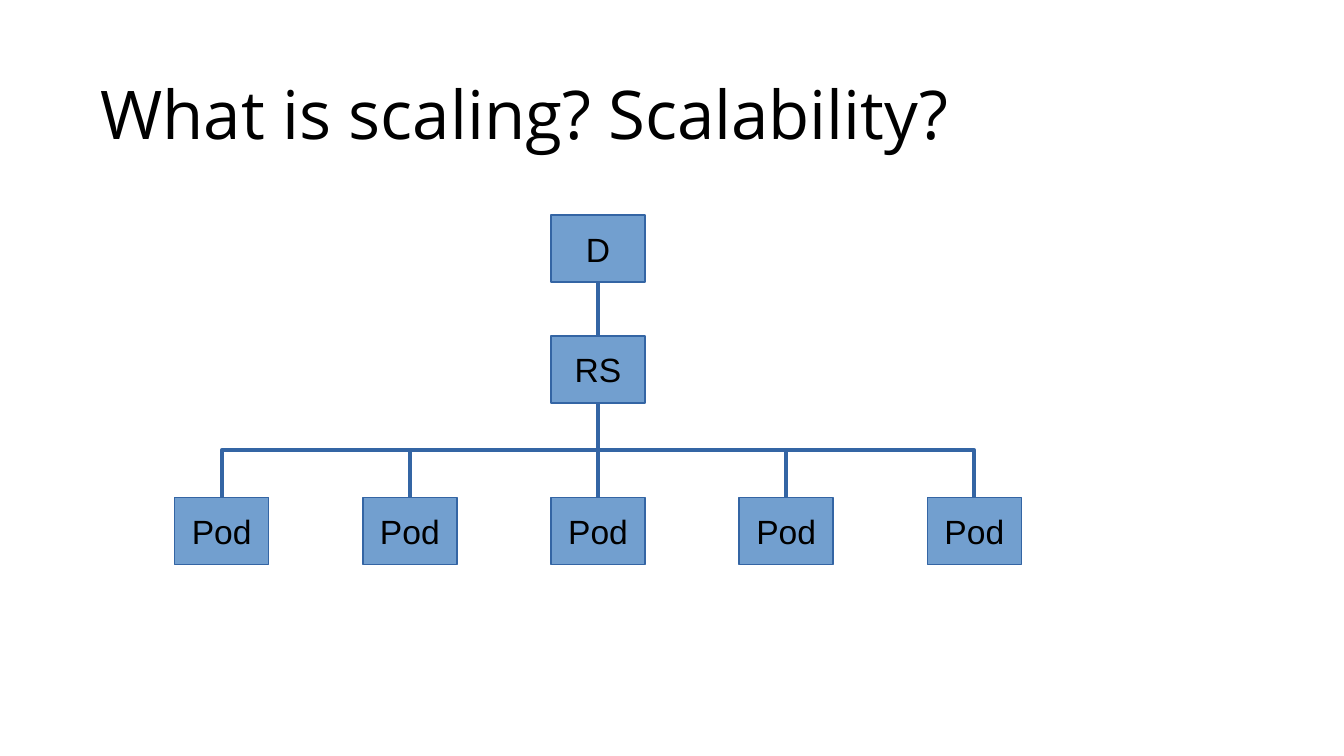
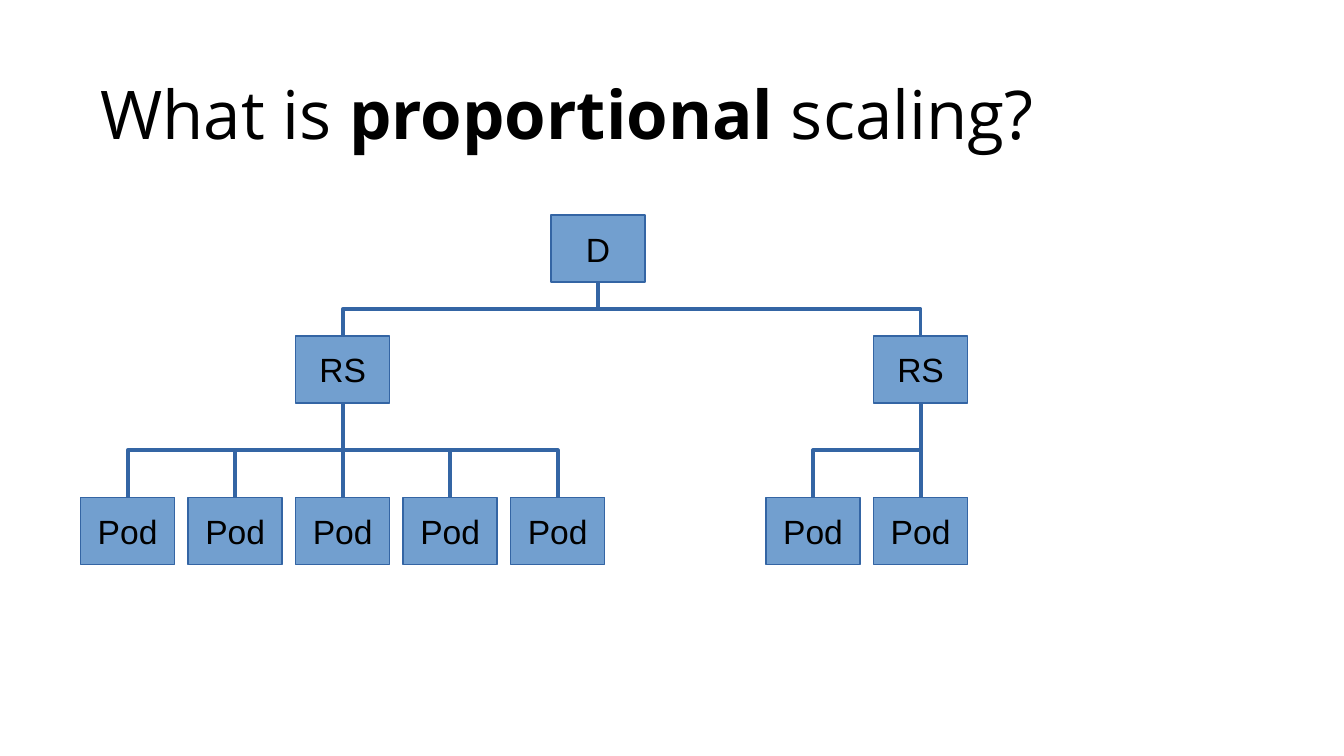
from lxml.etree import SubElement
from pptx import Presentation
from pptx.dml.color import RGBColor
from pptx.enum.shapes import MSO_CONNECTOR, MSO_SHAPE
from pptx.enum.text import MSO_ANCHOR, PP_ALIGN
from pptx.oxml.ns import qn
from pptx.util import Pt

PX = 4572
COLORS = {"text": "000000", "box": "729FCF", "line": "3465A4"}
TITLE_FONT = {"name": "Open Sans", "size": Pt(36)}
BOX_FONT = {"name": "Arial", "size": Pt(18)}
TITLE_FRAME = {"word_wrap": True, "vertical_anchor": MSO_ANCHOR.MIDDLE,
               "margin_left": 20 * PX, "margin_right": 20 * PX,
               "margin_top": 20 * PX, "margin_bottom": 20 * PX}
BOX_FRAME = {"word_wrap": False, "vertical_anchor": MSO_ANCHOR.MIDDLE,
             "margin_left": 20 * PX, "margin_right": 20 * PX,
             "margin_top": 10 * PX, "margin_bottom": 10 * PX}
BOX_W, BOX_H = 140, 100
DEPLOYMENT_X = 890
DEPLOYMENT_Y, REPLICA_SET_Y, POD_Y = 320, 500, 740


def px(*lengths):
    """Turn px lengths into EMU."""
    return [round(n * PX) for n in lengths]


def rgb(name):
    """Look up a named colour."""
    return RGBColor.from_string(COLORS[name])


def apply(target, values):
    """Set each format value on the target."""
    for name, value in values.items():
        setattr(target, name, value)


def add_run(p, text, font, bold=False):
    """Add one styled run to a paragraph."""
    r = p.add_run()
    r.text = text
    apply(r.font, {**font, "bold": bold})
    r.font.color.rgb = rgb("text")


def set_line(shape):
    """Give a shape or connector the shared hairline."""
    shape.line.color.rgb = rgb("line")
    shape.line.width = 0


def add_title(s, parts):
    """Add the slide title from (text, bold) parts."""
    tf = s.shapes.add_textbox(*px(130, 74, 1742, 188)).text_frame
    apply(tf, TITLE_FRAME)
    for text, bold in parts:
        add_run(tf.paragraphs[0], text, TITLE_FONT, bold)


def add_box(s, text, center, top):
    """Add a labelled box centred on a column."""
    sp = s.shapes.add_shape(MSO_SHAPE.RECTANGLE,
                            *px(center - BOX_W / 2, top, BOX_W, BOX_H))
    sp.shadow.inherit = False
    sp.fill.solid()
    sp.fill.fore_color.rgb = rgb("box")
    set_line(sp)
    tf = sp.text_frame
    apply(tf, BOX_FRAME)
    p = tf.paragraphs[0]
    p.alignment = PP_ALIGN.CENTER
    add_run(p, text, BOX_FONT)
    return sp


def add_link(s, parent, child):
    """Join the bottom of a parent to the top of a child."""
    x1, y1 = parent.left + parent.width // 2, parent.top + parent.height
    x2, y2 = child.left + child.width // 2, child.top
    kind = MSO_CONNECTOR.STRAIGHT if x1 == x2 else MSO_CONNECTOR.ELBOW
    c = s.shapes.add_connector(kind, x1, y1, x2, y2)
    c.begin_connect(parent, 2)
    c.end_connect(child, 0)
    set_line(c)
    sp_pr = c.element.spPr
    SubElement(sp_pr, qn("a:effectLst"))
    if x1 != x2:
        drop, reach = y2 - y1, abs(x2 - x1)
        apply(c, {"left": (x1 + x2 - drop) // 2, "top": (y1 + y2 - reach) // 2,
                  "width": drop, "height": reach})
        xfrm = sp_pr.find(qn("a:xfrm"))
        xfrm.set("rot", str((270 if x2 > x1 else 90) * 60000))
        xfrm.set("flipH", "1" if x2 > x1 else "0")


def add_tree(s, replica_sets, step):
    """Add a deployment with replica sets given as (center, pod offsets)."""
    deployment = add_box(s, "D", DEPLOYMENT_X, DEPLOYMENT_Y)
    for center, offsets in replica_sets:
        replica_set = add_box(s, "RS", center, REPLICA_SET_Y)
        add_link(s, deployment, replica_set)
        for offset in offsets:
            pod = add_box(s, "Pod", center + offset * step, POD_Y)
            add_link(s, replica_set, pod)


def main():
    """Build both slides and save them."""
    prs = Presentation()
    prs.slide_width, prs.slide_height = px(2000, 1125)
    slides = [
        ([("What is scaling? Scalability?", False)],
         [(DEPLOYMENT_X, range(-2, 3))], 280),
        ([("What is ", False), ("proportional", True), (" scaling?", False)],
         [(510, range(-2, 3)), (1370, range(-1, 1))], 160),
    ]
    for title, replica_sets, step in slides:
        s = prs.slides.add_slide(prs.slide_layouts[6])
        add_title(s, title)
        add_tree(s, replica_sets, step)
    prs.save("out.pptx")


if __name__ == "__main__":
    main()
